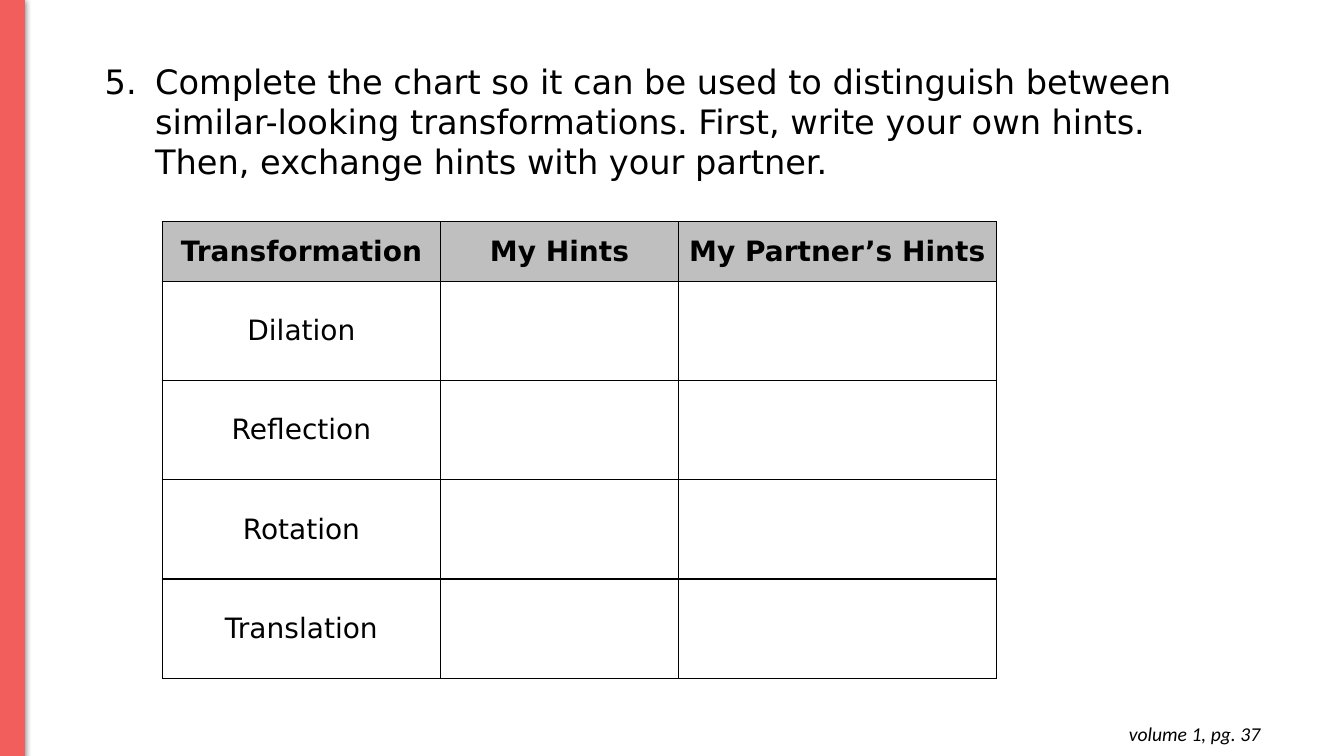
from dataclasses import dataclass

from lxml import etree
from pptx import Presentation
from pptx import util as u
from pptx.dml.color import RGBColor
from pptx.enum import shapes, text
from pptx.oxml import ns

BLACK = RGBColor(0x00, 0x00, 0x00)
CORAL = RGBColor(0xF2, 0x5E, 0x5B)
GREY = RGBColor(0xBF, 0xBF, 0xBF)
BODY_FONT = "DejaVu Sans"


@dataclass(frozen=True)
class TextBox:
    words: str
    left: float
    top: float
    width: float
    height: float
    size: int
    font: str
    italic: bool = False
    align: text.PP_ALIGN = text.PP_ALIGN.LEFT
    inset: float = 0.05


QUESTION = TextBox(
    "Complete the chart so it can be used to distinguish between similar-looking "
    "transformations. First, write your own hints. Then, exchange hints with your partner.",
    0.94, 0.55, 11.26, 1.31, 24, BODY_FONT)
PAGE_REFERENCE = TextBox("volume 1, pg. 37", 9.72, 7.06, 2.88, 0.44, 14, "Calibri",
                         italic=True, align=text.PP_ALIGN.RIGHT, inset=0.1)

HEADINGS = ["Transformation", "My Hints", "My Partner’s Hints"]
TRANSFORMATIONS = ["Dilation", "Reflection", "Rotation", "Translation"]
COLUMN_WIDTHS = [2.76, 2.36, 3.15]
TABLE_HEIGHT = 4.53
HEADER_HEIGHT = 0.59


def add_element(parent, tag: str, **attributes):
    """Append a DrawingML element to its parent."""
    return etree.SubElement(parent, ns.qn(tag), attributes)


def style_paragraph(para, size: int, font: str, bold: bool = False, italic: bool = False) -> None:
    para.font.size = u.Pt(size)
    para.font.name = font
    para.font.bold = bold
    para.font.italic = italic
    para.font.color.rgb = BLACK


def number_paragraph(para, start: int) -> None:
    """Give the paragraph a hanging number."""
    properties = para._p.get_or_add_pPr()
    properties.set("marL", str(u.Inches(0.5)))
    properties.set("indent", str(u.Inches(-0.5)))
    colour = add_element(properties, "a:buClr")
    add_element(colour, "a:srgbClr", val=str(BLACK))
    add_element(properties, "a:buFont", typeface=BODY_FONT)
    add_element(properties, "a:buAutoNum", type="arabicPeriod", startAt=str(start))


def add_text(page, item: TextBox, number: int | None = None) -> None:
    box = page.shapes.add_textbox(u.Inches(item.left), u.Inches(item.top),
                                  u.Inches(item.width), u.Inches(item.height))
    frame = box.text_frame
    frame.word_wrap = True
    frame.auto_size = text.MSO_AUTO_SIZE.SHAPE_TO_FIT_TEXT
    frame.margin_top = frame.margin_bottom = u.Inches(item.inset)
    para = frame.paragraphs[0]
    para.text = item.words
    para.alignment = item.align
    if number is not None:
        number_paragraph(para, number)
    style_paragraph(para, item.size, item.font, italic=item.italic)


def add_side_bar(page) -> None:
    bar = page.shapes.add_shape(shapes.MSO_SHAPE.RECTANGLE, u.Inches(0), u.Inches(-0.01),
                                u.Inches(0.24), u.Inches(7.51))
    bar.fill.solid()
    bar.fill.fore_color.rgb = CORAL
    bar.line.color.rgb = CORAL
    bar.line.width = u.Pt(0.75)
    bar.shadow.inherit = False
    effects = bar._element.spPr.find(ns.qn("a:effectLst"))
    shadow = add_element(effects, "a:outerShdw", blurRad=str(u.Pt(4.5)), dist=str(u.Pt(1.5)),
                         dir="5400000", algn="ctr", rotWithShape="0")
    colour = add_element(shadow, "a:srgbClr", val=str(BLACK))
    add_element(colour, "a:alpha", val="50000")


def add_borders(cell) -> None:
    properties = cell._tc.get_or_add_tcPr()
    for position, side in enumerate(("L", "R", "T", "B")):
        line = add_element(properties, f"a:ln{side}", w=str(u.Pt(1)))
        fill = add_element(line, "a:solidFill")
        add_element(fill, "a:srgbClr", val=str(BLACK))
        properties.insert(position, line)


def fill_cell(cell, words: str, header: bool) -> None:
    cell.margin_left = cell.margin_right = u.Inches(0.05)
    cell.vertical_anchor = text.MSO_ANCHOR.MIDDLE
    if header:
        cell.fill.solid()
        cell.fill.fore_color.rgb = GREY
    else:
        cell.fill.background()
    add_borders(cell)
    if words:
        para = cell.text_frame.paragraphs[0]
        para.text = words
        para.alignment = text.PP_ALIGN.CENTER
        style_paragraph(para, 20, BODY_FONT, bold=header)


def add_hints_table(page) -> None:
    rows = [HEADINGS] + [[name, "", ""] for name in TRANSFORMATIONS]
    table = page.shapes.add_table(len(rows), len(HEADINGS), u.Inches(1.61), u.Inches(2.2),
                                  u.Inches(sum(COLUMN_WIDTHS)), u.Inches(TABLE_HEIGHT)).table
    table.first_row = True
    table.horz_banding = False
    for column, width in zip(table.columns, COLUMN_WIDTHS):
        column.width = u.Inches(width)
    body_height = (TABLE_HEIGHT - HEADER_HEIGHT) / len(TRANSFORMATIONS)
    for index, row in enumerate(rows):
        table.rows[index].height = u.Inches(body_height if index else HEADER_HEIGHT)
        for column, words in enumerate(row):
            fill_cell(table.cell(index, column), words, header=index == 0)


def main() -> None:
    deck = Presentation()
    deck.slide_width = u.Inches(13.33)
    deck.slide_height = u.Inches(7.5)
    page = deck.slides.add_slide(deck.slide_layouts[6])

    # Page reference and question
    add_text(page, PAGE_REFERENCE)
    add_text(page, QUESTION, number=5)

    # Coloured edge
    add_side_bar(page)

    # Table of hints
    add_hints_table(page)

    deck.save("out.pptx")


if __name__ == "__main__":
    main()
